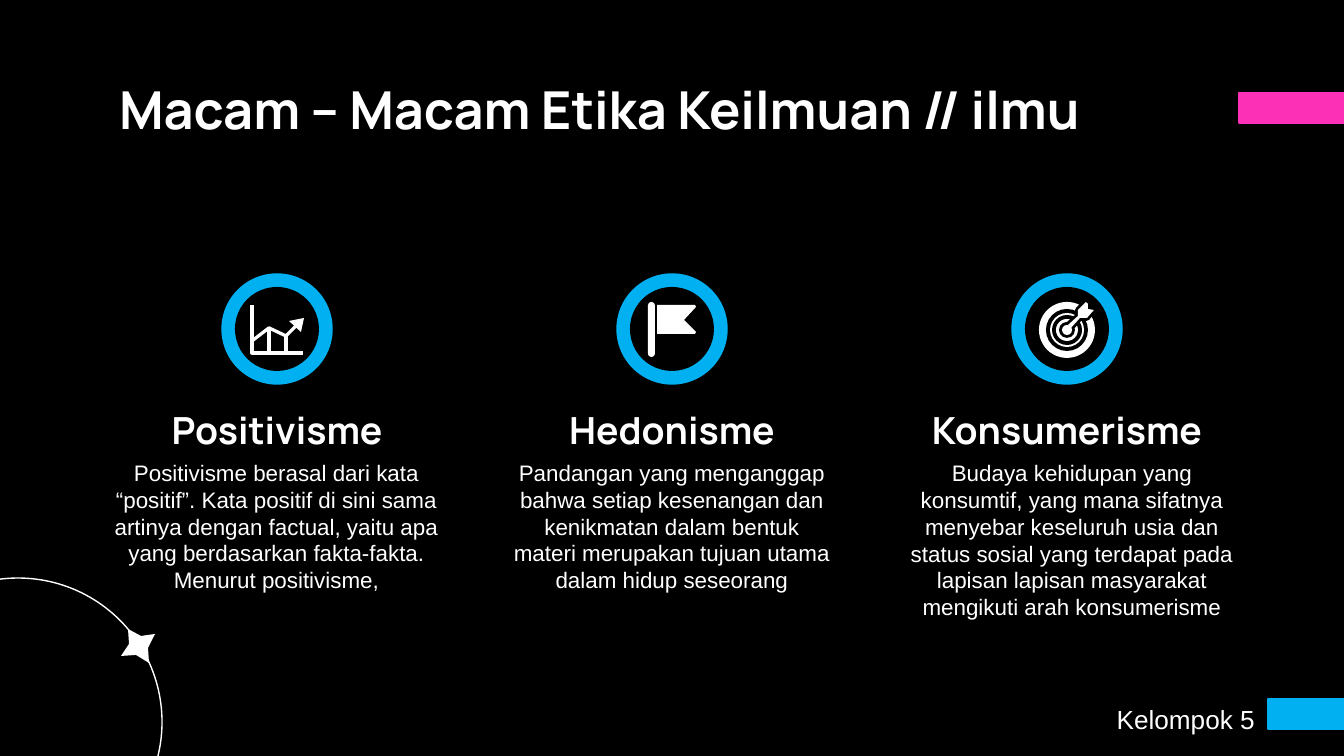
from pptx import Presentation
from pptx.dml.color import RGBColor
from pptx.enum.shapes import MSO_SHAPE
from pptx.enum.text import MSO_ANCHOR, MSO_AUTO_SIZE, PP_ALIGN
from pptx.util import Pt

PX = 914400 / 134.4
RECT, OVAL, ROUNDED = MSO_SHAPE.RECTANGLE, MSO_SHAPE.OVAL, MSO_SHAPE.ROUNDED_RECTANGLE
LEFT, CENTER, RIGHT = PP_ALIGN.LEFT, PP_ALIGN.CENTER, PP_ALIGN.RIGHT
TOP, MIDDLE, BOTTOM = MSO_ANCHOR.TOP, MSO_ANCHOR.MIDDLE, MSO_ANCHOR.BOTTOM
BLACK, WHITE, BLUE, PINK = "000000", "FFFFFF", "00B0F0", "FC30B6"

TITLE = "Macam – Macam Etika Keilmuan // ilmu"
FOOTER = "Kelompok 5"
COLUMNS = [
    {"heading": "Positivisme", "icon": "chart", "box": (12, 446, 462, 207), "indent": 67,
     "body": "Positivisme berasal dari kata “positif”. Kata positif di sini sama artinya "
             "dengan factual, yaitu apa yang berdasarkan fakta-fakta. Menurut positivisme,"},
    {"heading": "Hedonisme", "icon": "flag", "box": (500, 446, 344, 176), "indent": 0,
     "body": "Pandangan yang menganggap bahwa setiap kesenangan dan kenikmatan dalam "
             "bentuk materi merupakan tujuan utama dalam hidup seseorang"},
    {"heading": "Konsumerisme", "icon": "target", "box": (825, 446, 427, 257), "indent": 67,
     "body": "Budaya kehidupan yang konsumtif, yang mana sifatnya menyebar keseluruh usia "
             "dan status sosial yang terdapat pada lapisan lapisan masyarakat mengikuti "
             "arah konsumerisme"},
]
FIRST_CENTER, COLUMN_PITCH, ICON_Y = 277, 395, 329

STAR = [(128, 629), (129, 644), (121, 656), (136, 655),
        (149, 663), (148, 648), (155, 634), (141, 636)]
CHART_LINES = [
    [(-25, -24), (-25, 24), (26, 24)],
    [(-25, 12), (-8, -1), (9, 7), (20, -4)],
    [(-8, -1), (-8, 24)],
    [(9, 7), (9, 24)],
]
ARROWHEAD = [(12, -8), (27, -11), (24, 3)]
BANNER = [(-15, -24), (23, -24), (24, -22), (12, -9), (24, 3), (23, 5), (-15, 5)]
DART = [(1, -4), (11, -13), (11, -19), (19, -27), (21, -25),
        (21, -20), (27, -19), (20, -11), (13, -11), (4, -1)]
TARGET_RADII = [28, 21, 17, 15, 11, 8]


def emu(*lengths):
    return [round(length * PX) for length in lengths]


def color(value):
    return RGBColor.from_string(value)


def paint(shape, fill=None, line=None, width=0.75):
    shape.shadow.inherit = False
    if fill:
        shape.fill.solid()
        shape.fill.fore_color.rgb = color(fill)
    else:
        shape.fill.background()
    if line:
        shape.line.color.rgb = color(line)
        shape.line.width = Pt(width)
    else:
        shape.line.fill.background()


def add_preset(page, kind, box, **style):
    shape = page.shapes.add_shape(kind, *emu(*box))
    paint(shape, **style)
    return shape


def add_disc(page, x, y, radius, **style):
    add_preset(page, OVAL, (x - radius, y - radius, 2 * radius, 2 * radius), **style)


def add_outline(page, points, x=0, y=0, closed=True, **style):
    placed = [(x + dx, y + dy) for dx, dy in points]
    builder = page.shapes.build_freeform(*placed[0], scale=PX)
    builder.add_line_segments(placed[1:], close=closed)
    paint(builder.convert_to_shape(), **style)


def write(shape, text, box, size, font, align, anchor, bold=False, indent=0):
    shape.left, shape.top, shape.width, shape.height = emu(*box)
    frame = shape.text_frame
    frame.word_wrap = True
    frame.auto_size = MSO_AUTO_SIZE.NONE
    frame.vertical_anchor = anchor
    inset = emu(13)[0]
    frame.margin_left = frame.margin_right = frame.margin_top = frame.margin_bottom = inset
    frame.text = text
    para = frame.paragraphs[0]
    para.alignment = align
    para.font.size, para.font.name, para.font.bold = Pt(size), font, bold
    para.font.color.rgb = color(WHITE)
    if indent:
        para._p.get_or_add_pPr().set("marL", str(emu(indent)[0]))


def add_text(page, text, box, *args, **options):
    write(page.shapes.add_textbox(*emu(*box)), text, box, *args, **options)


def draw_chart(page, x, y):
    for points in CHART_LINES:
        add_outline(page, points, x, y, closed=False, line=WHITE, width=1.75)
    add_outline(page, ARROWHEAD, x, y, fill=WHITE)


def draw_flag(page, x, y):
    pole = add_preset(page, ROUNDED, (x - 24, y - 27, 7, 55), fill=WHITE)
    pole.adjustments[0] = 0.5
    add_outline(page, BANNER, x, y, fill=WHITE)


def draw_target(page, x, y):
    for index, radius in enumerate(TARGET_RADII):
        add_disc(page, x, y + 1, radius, fill=(WHITE, BLACK)[index % 2])
    add_outline(page, DART, x, y, fill=BLACK, line=BLACK, width=3)
    add_disc(page, x, y + 1, 5, fill=WHITE)
    add_outline(page, DART, x, y, fill=WHITE)


ICONS = {"chart": draw_chart, "flag": draw_flag, "target": draw_target}


def main():
    deck = Presentation()
    deck.slide_width, deck.slide_height = emu(1344, 756)
    page = deck.slides.add_slide(deck.slide_layouts[5])
    page.background.fill.solid()
    page.background.fill.fore_color.rgb = color(BLACK)

    add_preset(page, RECT, (1239, 93, 110, 30), fill=PINK, line=PINK)
    add_disc(page, 18, 722, 144, line=WHITE)
    add_outline(page, STAR, fill=WHITE)
    write(page.shapes.title, TITLE, (106, 66, 1016, 85), 28, "Manrope", LEFT, MIDDLE, bold=True)

    for index, column in enumerate(COLUMNS):
        x = FIRST_CENTER + index * COLUMN_PITCH
        add_disc(page, x, ICON_Y, 55, fill=BLUE, line=BLUE)
        add_disc(page, x, ICON_Y, 42, fill=BLACK)
        ICONS[column["icon"]](page, x, ICON_Y)
        add_text(page, column["heading"], (x - 172, 387, 344, 78),
                 20, "Manrope", CENTER, BOTTOM, bold=True)
        add_text(page, column["body"], column["box"],
                 12, "Arial", CENTER, TOP, indent=column["indent"])

    add_text(page, FOOTER, (991, 699, 277, 40), 14, "Arial", RIGHT, MIDDLE)
    add_preset(page, RECT, (1268, 699, 87, 30), fill=BLUE, line=BLUE)
    deck.save("out.pptx")


if __name__ == "__main__":
    main()
